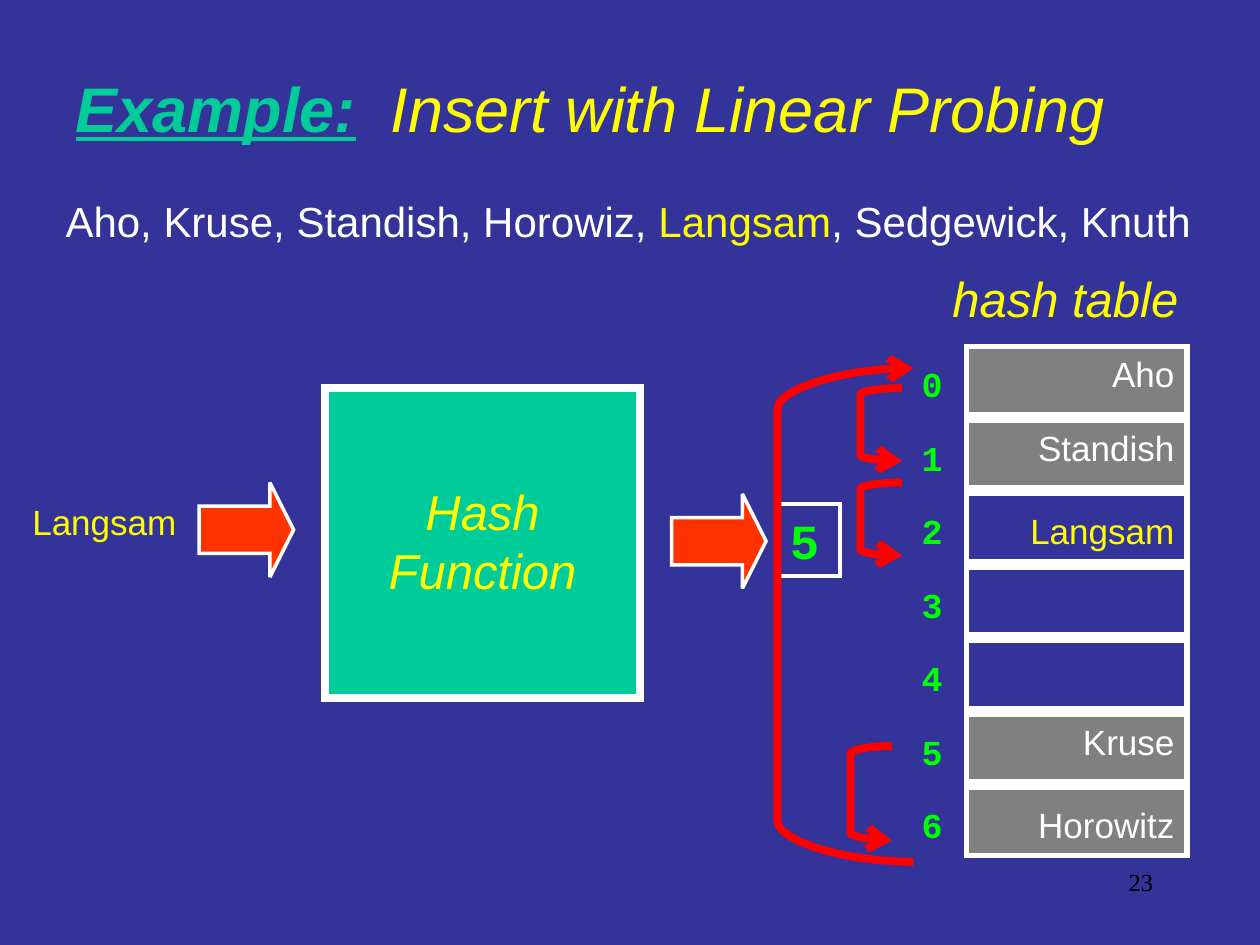
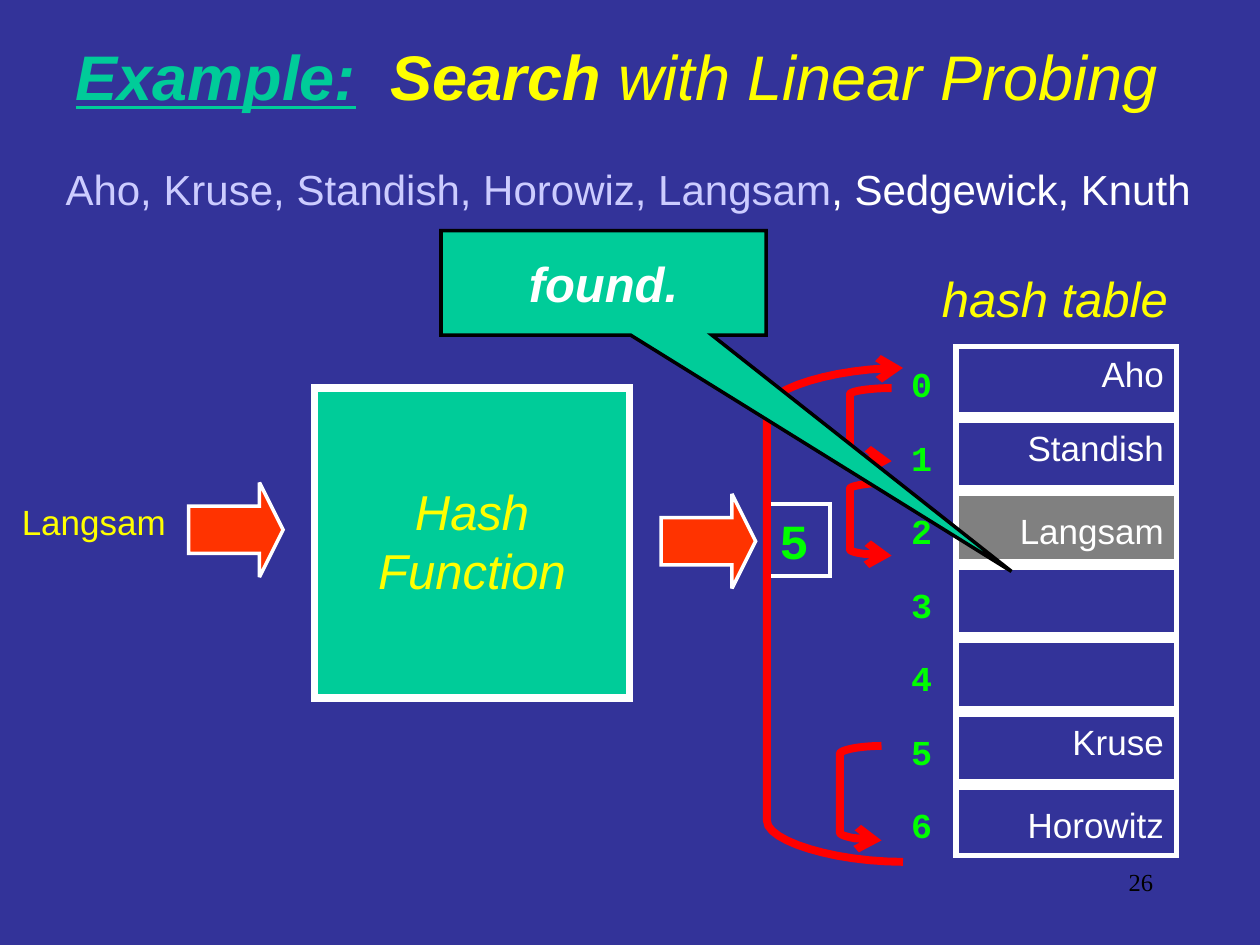
from dataclasses import dataclass

from lxml import etree
from pptx import Presentation
from pptx.dml.color import RGBColor
from pptx.enum.shapes import MSO_SHAPE
from pptx.enum.text import MSO_ANCHOR, MSO_AUTO_SIZE, PP_ALIGN
from pptx.oxml.ns import qn
from pptx.util import Inches, Pt

LEFT, CENTER, RIGHT = PP_ALIGN.LEFT, PP_ALIGN.CENTER, PP_ALIGN.RIGHT
TOP, MIDDLE = MSO_ANCHOR.TOP, MSO_ANCHOR.MIDDLE
RECTANGLE = MSO_SHAPE.RECTANGLE
RIGHT_ARROW = MSO_SHAPE.RIGHT_ARROW
CALLOUT = MSO_SHAPE.RECTANGULAR_CALLOUT

COLORS = {
    "background": "333399",
    "accent": "00CC99",
    "highlight": "FFFF00",
    "white": "FFFFFF",
    "black": "000000",
    "visited": "CCCCFF",
    "index": "00FF00",
    "occupied": "808080",
    "flow": "FF3300",
    "probe": "FF0000",
}

ROW_COUNT = 7
ROW_TOP = 2.75
ROW_PITCH = 7 / 12
ROW_HEIGHT = 0.54
LOW_TEXT = 0.13
HIGH_TEXT = 0.05
CURVE_STEPS = 12
TABLE_NAMES = {0: "Aho", 1: "Standish", 2: "Langsam", 5: "Kruse", 6: "Horowitz"}
LOW_ROWS = (2, 6)


@dataclass(frozen=True)
class Run:
    text: str
    size: float
    color: str = "white"
    font: str = "Arial"
    bold: bool = False
    italic: bool = False
    underline: bool = False


@dataclass(frozen=True)
class Box:
    left: float
    top: float
    width: float
    height: float

    def lengths(self) -> tuple:
        return tuple(Inches(v) for v in (self.left, self.top, self.width, self.height))


@dataclass(frozen=True)
class Probe:
    left: float
    top: float
    width: float
    height: float
    arrow_end: str = "tailEnd"


@dataclass(frozen=True)
class HashSlide:
    title: tuple
    names: tuple
    title_top: float
    title_width: float
    names_top: float
    shift: float
    occupied_rows: tuple
    found_color: str
    number: str
    callout: str = ""


PROBES = (
    Probe(6.75, 5.92, 0.33, 0.75),
    Probe(6.17, 2.92, 1.08, 3.92, "headEnd"),
    Probe(6.83, 3.08, 0.33, 0.58),
    Probe(6.83, 3.83, 0.33, 0.58),
)


def title_run(text: str, bold: bool = False) -> Run:
    return Run(text, 36, "highlight", bold=bold, italic=True)


EXAMPLE = Run("Example:", 36, "accent", bold=True, italic=True, underline=True)

SLIDES = (
    HashSlide(
        title=(EXAMPLE, title_run("  Insert with Linear Probing")),
        names=(
            Run("Aho, Kruse, Standish, Horowiz, ", 24),
            Run("Langsam", 24, "highlight"),
            Run(", Sedgewick, Knuth", 24),
        ),
        title_top=0.5,
        title_width=8.75,
        names_top=1.5,
        shift=0,
        occupied_rows=(0, 1, 5, 6),
        found_color="highlight",
        number="23",
    ),
    HashSlide(
        title=(EXAMPLE, title_run("  "), title_run("Search", True),
               title_run(" with Linear Probing")),
        names=(
            Run("Aho, Kruse, Standish, Horowiz, Langsam", 24, "visited"),
            Run(", Sedgewick, Knuth", 24),
        ),
        title_top=0.25,
        title_width=9,
        names_top=1.25,
        shift=-1 / 12,
        occupied_rows=(2,),
        found_color="white",
        number="26",
        callout="found.",
    ),
)


def rgb(name: str) -> RGBColor:
    return RGBColor.from_string(COLORS[name])


def write(shape, runs: tuple, align=LEFT, anchor=TOP, wrap: bool = True,
          top_inset: float = 0.05) -> None:
    frame = shape.text_frame
    frame.auto_size = MSO_AUTO_SIZE.NONE
    frame.word_wrap = wrap
    frame.vertical_anchor = anchor
    frame.margin_left = frame.margin_right = Inches(0.1)
    frame.margin_top, frame.margin_bottom = Inches(top_inset), Inches(0.05)
    paragraph = frame.paragraphs[0]
    paragraph.alignment = align
    paragraph.space_before = Pt(0)
    for part in runs:
        run = paragraph.add_run()
        run.text = part.text
        font = run.font
        font.name, font.size = part.font, Pt(part.size)
        font.bold, font.italic, font.underline = part.bold, part.italic, part.underline
        font.color.rgb = rgb(part.color)


def place(shape, box: Box) -> None:
    shape.left, shape.top, shape.width, shape.height = box.lengths()


def outline(shape, color: str, width: float, fill: str = ""):
    shape.shadow.inherit = False
    if fill:
        shape.fill.solid()
        shape.fill.fore_color.rgb = rgb(fill)
    else:
        shape.fill.background()
    shape.line.color.rgb = rgb(color)
    shape.line.width = Pt(width)
    line = shape.element.spPr.find(qn("a:ln"))
    etree.SubElement(line, qn("a:miter")).set("lim", "800000")
    return line


def add_label(slide, box: Box, run: Run, align=LEFT) -> None:
    write(slide.shapes.add_textbox(*box.lengths()), (run,), align)


def add_block(slide, preset, box: Box, line: str, width: float, fill: str = ""):
    block = slide.shapes.add_shape(preset, *box.lengths())
    outline(block, line, width, fill)
    return block


def quarter_curve(start: tuple, end: tuple) -> list:
    middle_x = (start[0] + end[0]) / 2
    middle_y = (start[1] + end[1]) / 2
    controls = (start, (middle_x, start[1]), (end[0], middle_y), end)
    points = []
    for step in range(CURVE_STEPS + 1):
        t = step / CURVE_STEPS
        weights = ((1 - t) ** 3, 3 * t * (1 - t) ** 2, 3 * t * t * (1 - t), t ** 3)
        points.append(tuple(
            Inches(sum(w * c[axis] for w, c in zip(weights, controls)))
            for axis in (0, 1)
        ))
    return points


def add_probe(slide, probe: Probe, shift: float) -> None:
    left = probe.left + shift
    right = left + probe.width
    bottom = probe.top + probe.height
    bend = probe.height / 12
    upper = quarter_curve((right, probe.top), (left, probe.top + bend))
    lower = quarter_curve((right, bottom), (left, bottom - bend))[::-1]
    builder = slide.shapes.build_freeform(*upper[0])
    builder.add_line_segments(upper[1:] + lower, close=False)
    line = outline(builder.convert_to_shape(), "probe", 4.5)
    etree.SubElement(line, qn(f"a:{probe.arrow_end}")).set("type", "arrow")


def add_hash_table(slide, content: HashSlide) -> None:
    shift = content.shift
    for row in range(ROW_COUNT):
        top = ROW_TOP + row * ROW_PITCH
        fill = "occupied" if row in content.occupied_rows else ""
        cell = add_block(slide, RECTANGLE, Box(7.67 + shift, top, 1.75, ROW_HEIGHT),
                         "white", 3, fill)
        if row in TABLE_NAMES:
            color = content.found_color if TABLE_NAMES[row] == "Langsam" else "white"
            write(cell, (Run(TABLE_NAMES[row], 20, color),), RIGHT,
                  top_inset=LOW_TEXT if row in LOW_ROWS else HIGH_TEXT)
        add_label(slide, Box(6.75 + shift, top + 0.08, 0.83, 0.44),
                  Run(str(row), 20, "index", "Courier New", bold=True), RIGHT)
    add_label(slide, Box(7.33 + shift, 2.08, 2.25, 0.57),
              Run("hash table", 28, "highlight", italic=True), CENTER)


def add_hash_flow(slide, shift: float) -> None:
    add_label(slide, Box(shift, 3.92, 1.5, 0.44), Run("Langsam", 20, "highlight"), RIGHT)
    for left, top in ((1.58, 3.83), (5.33, 3.92)):
        arrow = add_block(slide, RIGHT_ARROW, Box(left + shift, top, 0.75, 0.75),
                          "white", 2, "flow")
        arrow.adjustments[0], arrow.adjustments[1] = 0.5, 0.25
    hash_value = add_block(slide, RECTANGLE, Box(6.17 + shift, 4, 0.5, 0.57), "white", 2.25)
    write(hash_value, (Run("5", 28, "index", "Courier New", bold=True),))
    hash_function = add_block(slide, RECTANGLE, Box(2.58 + shift, 3.08, 2.5, 2.46),
                              "white", 4.5, "accent")
    write(hash_function, (Run("Hash Function", 28, "highlight", italic=True),),
          CENTER, top_inset=0.74)


def add_slide(prs, content: HashSlide) -> None:
    slide = prs.slides.add_slide(prs.slide_layouts[1])
    title, names = slide.placeholders[0], slide.placeholders[1]
    place(title, Box(0.5, content.title_top, content.title_width, 0.7))
    write(title, content.title)
    place(names, Box(0.42, content.names_top, 9.25, 0.5))
    write(names, content.names)
    properties = names.text_frame.paragraphs[0]._p.get_or_add_pPr()
    properties.set("marL", "0")
    properties.set("indent", "0")
    etree.SubElement(properties, qn("a:buNone"))

    add_label(slide, Box(7.17, 6.83, 2.08, 0.5),
              Run(content.number, 14, "black", "Times New Roman"), RIGHT)
    add_hash_table(slide, content)
    add_hash_flow(slide, content.shift)
    for probe in PROBES:
        add_probe(slide, probe, content.shift)
    if content.callout:
        callout = add_block(slide, CALLOUT, Box(3.5, 1.83, 2.58, 0.83),
                            "black", 2, "accent")
        callout.adjustments[0], callout.adjustments[1] = 1.255, 2.76
        write(callout, (Run(content.callout, 28, bold=True, italic=True),),
              CENTER, MIDDLE, wrap=False)


def main() -> None:
    prs = Presentation()
    prs.slide_width, prs.slide_height = Inches(10), Inches(7.5)
    background = prs.slide_master.background.fill
    background.solid()
    background.fore_color.rgb = rgb("background")
    for content in SLIDES:
        add_slide(prs, content)
    prs.save("out.pptx")


if __name__ == "__main__":
    main()
